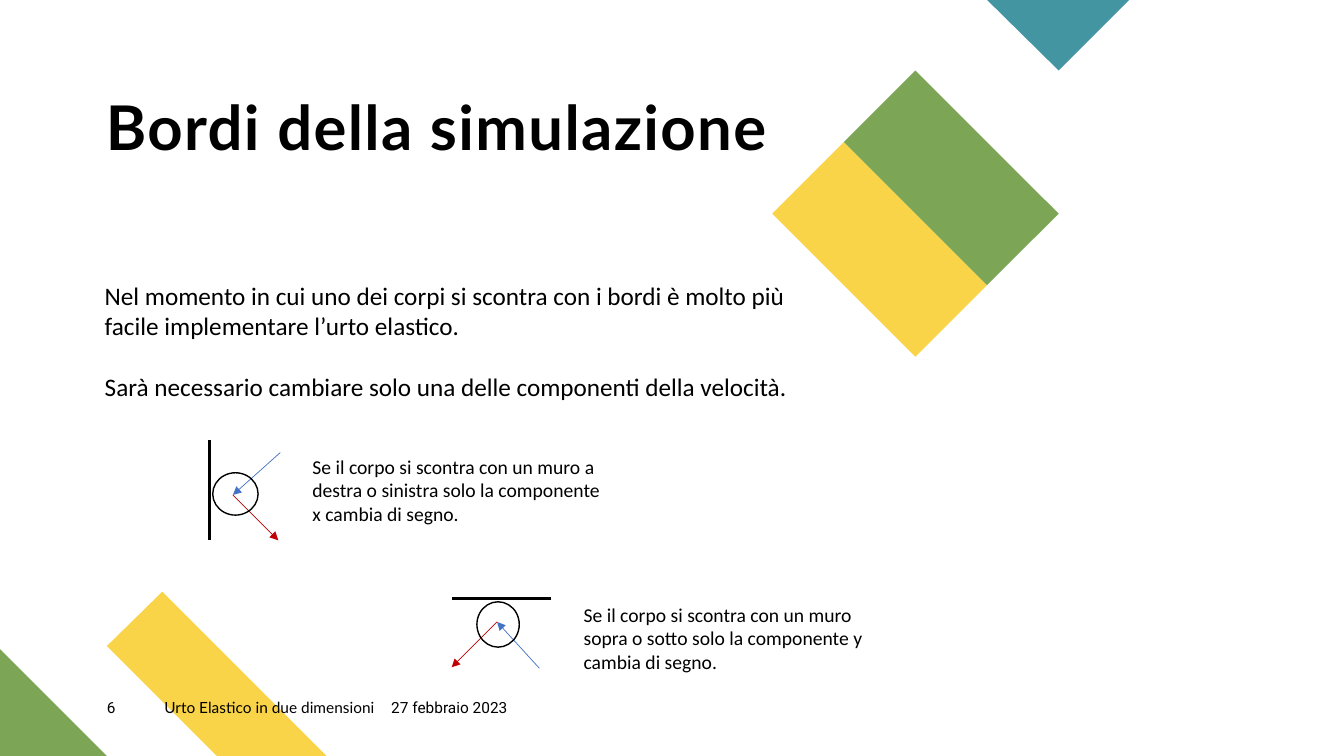
"""Builds the slide on collisions with the borders of the simulation."""
from dataclasses import dataclass

from lxml import etree
from pptx import Presentation
from pptx.dml.color import RGBColor
from pptx.enum.shapes import MSO_CONNECTOR, MSO_SHAPE
from pptx.enum.text import MSO_ANCHOR, MSO_AUTO_SIZE, PP_ALIGN
from pptx.oxml.ns import qn
from pptx.slide import Slide
from pptx.text.text import TextFrame
from pptx.util import Inches, Pt

STRAIGHT = MSO_CONNECTOR.STRAIGHT
OVAL = MSO_SHAPE.OVAL
TOP, BOTTOM = MSO_ANCHOR.TOP, MSO_ANCHOR.BOTTOM
LEFT = PP_ALIGN.LEFT
NO_AUTOFIT = MSO_AUTO_SIZE.NONE

COLORS = {
    "yellow": "F9D448",
    "green": "7CA655",
    "teal": "4495A2",
    "black": "000000",
    "blue": "4472C4",
    "red": "C00000",
}


@dataclass(frozen=True)
class Polygon:
    """A filled decoration given by its corners."""
    color: str
    points: tuple[tuple[float, float], ...]


@dataclass(frozen=True)
class Label:
    """A text box with one or more paragraphs."""
    box: tuple[float, float, float, float]
    paragraphs: tuple[str, ...]
    size: float
    font: str = "Calibri"
    inset: bool = True
    gap: float = 0


@dataclass(frozen=True)
class Segment:
    """A line, with an optional arrowhead at its start."""
    start: tuple[float, float]
    end: tuple[float, float]
    color: str = "black"
    width: float = 2
    arrow: bool = False


@dataclass(frozen=True)
class Collision:
    """A body bouncing off a wall, with its explanation."""
    wall: Segment
    incoming: Segment
    outgoing: Segment
    body: tuple[float, float, float, float]
    note: Label


def velocity(tip: tuple[float, float], tail: tuple[float, float], color: str) -> Segment:
    """Return a thin velocity arrow pointing at tip."""
    return Segment(tip, tail, color, 0.5, True)


def footer(left: float, width: float, text: str, font: str) -> Label:
    """Return a label on the footer row."""
    return Label((left, 6.93, width, 0.27), (text,), 11, font, False)


POLYGONS = (
    Polygon("yellow", ((3.24, 7.5), (2.15, 7.5), (1.06, 6.41), (1.61, 5.87))),
    Polygon("green", ((1.06, 7.5), (0, 7.5), (0, 6.44))),
    Polygon("yellow", ((8.37, 1.41), (7.66, 2.12), (9.08, 3.54), (9.79, 2.83))),
    Polygon("teal", ((11.2, 0), (9.79, 0), (10.5, 0.7))),
    Polygon("green", ((9.08, 0.7), (8.37, 1.41), (9.79, 2.83), (10.5, 2.12))),
)

COLLISIONS = (
    Collision(
        Segment((2.08, 4.37), (2.08, 5.36)),
        velocity((2.31, 4.91), (2.78, 4.49), "blue"),
        velocity((2.76, 5.36), (2.31, 4.91), "red"),
        (2.11, 4.69, 0.45, 0.42),
        Label((3, 4.46, 3.16, 0.81), (
            "Se il corpo si scontra con un muro a destra o sinistra "
            "solo la componente x cambia di segno.",), 14),
    ),
    Collision(
        Segment((5.47, 5.94), (4.48, 5.94)),
        velocity((4.93, 6.17), (5.35, 6.63), "blue"),
        velocity((4.48, 6.62), (4.93, 6.17), "red"),
        (4.73, 5.97, 0.42, 0.45),
        Label((5.69, 5.93, 3.16, 0.81), (
            "Se il corpo si scontra con un muro sopra o sotto "
            "solo la componente y cambia di segno.",), 14),
    ),
)

INTRO = Label((0.94, 2.73, 7.41, 1.31), (
    "Nel momento in cui uno dei corpi si scontra con i bordi è molto più "
    "facile implementare l’urto elastico.",
    "Sarà necessario cambiare solo una delle componenti della velocità.",
), 18, gap=22)

FOOTERS = (
    footer(3.88, 1.44, "27 febbraio 2023", "Roboto"),
    footer(1.63, 2.13, "Urto Elastico in due dimensioni", "Lato"),
    footer(1.06, 0.57, "6", "Roboto"),
)


def rgb(name: str) -> RGBColor:
    """Return a named colour."""
    return RGBColor.from_string(COLORS[name])


def clear_margins(tf: TextFrame) -> None:
    """Remove the insets of a text frame."""
    tf.margin_left = tf.margin_top = tf.margin_right = tf.margin_bottom = 0


def format_runs(tf: TextFrame, font: str, size: float, bold: bool = False) -> None:
    """Align left and set the font of every run."""
    for p in tf.paragraphs:
        p.alignment = LEFT
        for r in p.runs:
            r.font.name = font
            r.font.size = Pt(size)
            r.font.bold = bold
            r.font.color.rgb = rgb("black")


def add_polygon(s: Slide, polygon: Polygon) -> None:
    """Draw a filled polygon without outline."""
    points = [(Inches(x), Inches(y)) for x, y in polygon.points]
    builder = s.shapes.build_freeform(*points[0], scale=1.0)
    builder.add_line_segments(points[1:], close=True)
    sp = builder.convert_to_shape()
    sp.shadow.inherit = False
    sp.fill.solid()
    sp.fill.fore_color.rgb = rgb(polygon.color)
    sp.line.fill.background()


def add_title(s: Slide, text: str) -> None:
    """Fill and place the title placeholder."""
    sp = s.shapes.title
    sp.left, sp.top, sp.width, sp.height = map(Inches, (1.05, 0.96, 8.24, 0.67))
    tf = sp.text_frame
    tf.text = text
    tf.word_wrap = True
    tf.auto_size = NO_AUTOFIT
    tf.vertical_anchor = BOTTOM
    clear_margins(tf)
    format_runs(tf, "Lato", 44, True)
    p = tf.paragraphs[0]
    p.line_spacing = 0.9
    p.runs[0]._r.get_or_add_rPr().set("spc", "100")


def add_label(s: Slide, label: Label) -> None:
    """Draw a wrapped text box."""
    tf = s.shapes.add_textbox(*map(Inches, label.box)).text_frame
    tf.text = "\n".join(label.paragraphs)
    tf.word_wrap = True
    tf.vertical_anchor = TOP
    if not label.inset:
        clear_margins(tf)
    format_runs(tf, label.font, label.size)
    for p in tf.paragraphs[1:]:
        p.space_before = Pt(label.gap)


def add_segment(s: Slide, segment: Segment) -> None:
    """Draw a straight line or arrow."""
    ends = map(Inches, segment.start + segment.end)
    sp = s.shapes.add_connector(STRAIGHT, *ends)
    sp.line.color.rgb = rgb(segment.color)
    sp.line.width = Pt(segment.width)
    spPr = sp._element.spPr
    if segment.arrow:
        etree.SubElement(spPr.find(qn("a:ln")), qn("a:headEnd"), type="triangle")
    etree.SubElement(spPr, qn("a:effectLst"))


def add_collision(s: Slide, collision: Collision) -> None:
    """Draw the wall, the velocities, the body and the note."""
    for segment in (collision.wall, collision.incoming, collision.outgoing):
        add_segment(s, segment)
    sp = s.shapes.add_shape(OVAL, *map(Inches, collision.body))
    sp.shadow.inherit = False
    sp.fill.background()
    sp.line.color.rgb = rgb("black")
    sp.line.width = Pt(1)
    add_label(s, collision.note)


def main() -> None:
    """Build and save the slide."""
    prs = Presentation()
    prs.slide_width, prs.slide_height = Inches(13.33), Inches(7.5)
    s = prs.slides.add_slide(prs.slide_layouts.get_by_name("Title Only"))
    for polygon in POLYGONS:
        add_polygon(s, polygon)
    add_title(s, "Bordi della simulazione")
    add_label(s, INTRO)
    for collision in COLLISIONS:
        add_collision(s, collision)
    for label in FOOTERS:
        add_label(s, label)
    prs.save("out.pptx")


if __name__ == "__main__":
    main()
